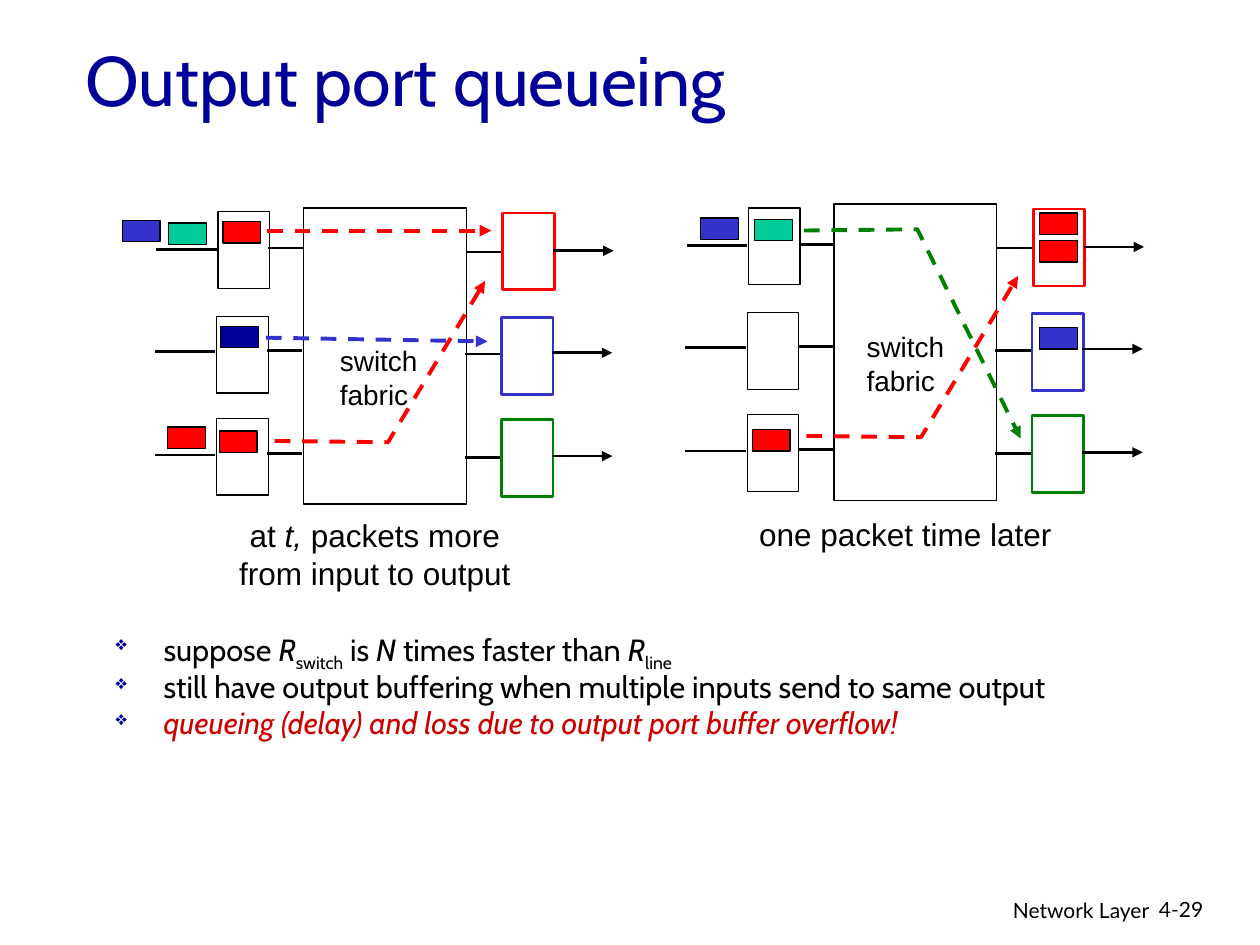
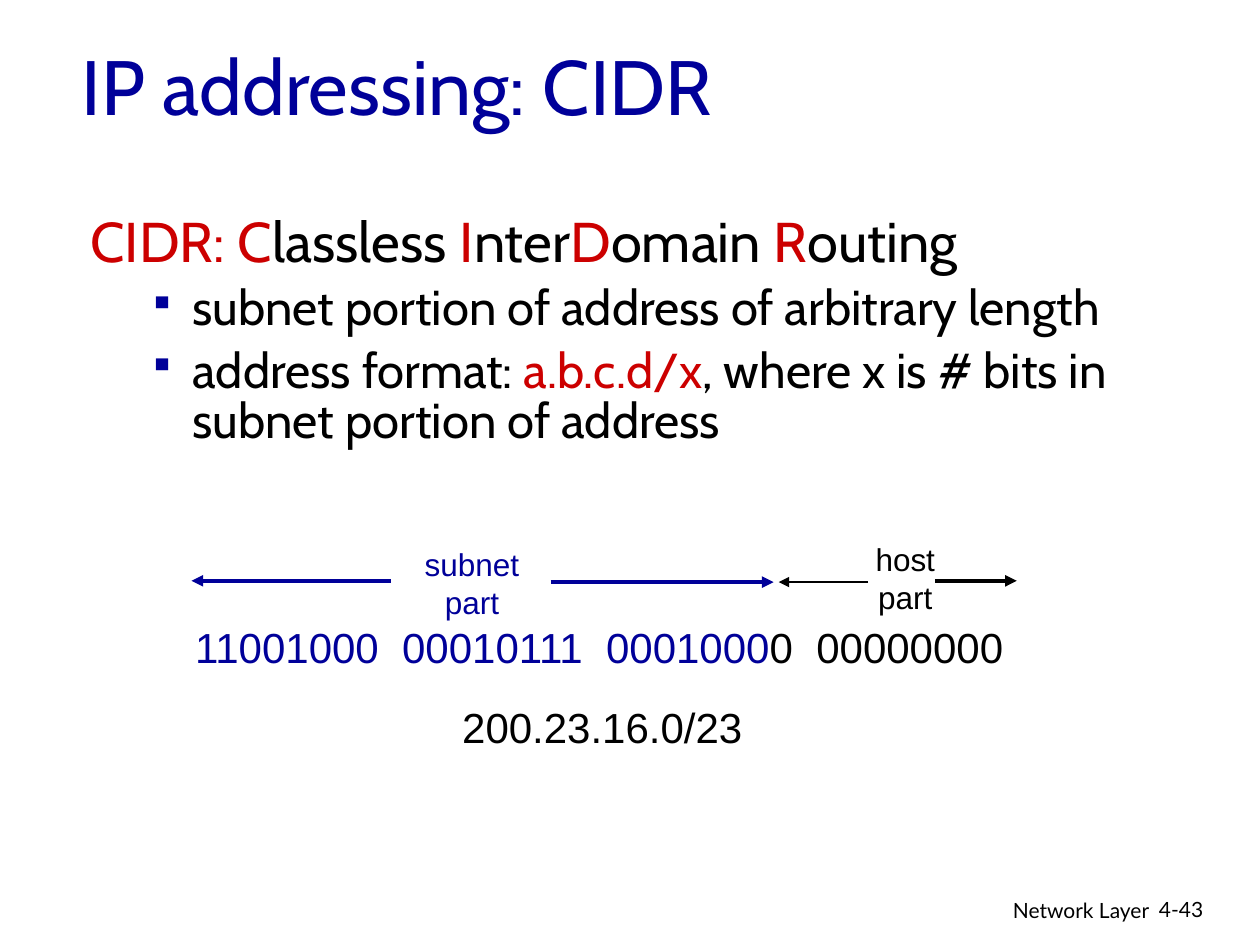
from lxml import etree
from pptx import Presentation
from pptx.dml.color import RGBColor
from pptx.enum.dml import MSO_LINE
from pptx.enum.shapes import MSO_CONNECTOR, MSO_SHAPE
from pptx.enum.text import MSO_ANCHOR, PP_ALIGN
from pptx.oxml.ns import qn
from pptx.util import Inches, Pt

LEFT, CENTER, RIGHT = PP_ALIGN.LEFT, PP_ALIGN.CENTER, PP_ALIGN.RIGHT
TOP, MIDDLE = MSO_ANCHOR.TOP, MSO_ANCHOR.MIDDLE
RECTANGLE, STRAIGHT, DASH = MSO_SHAPE.RECTANGLE, MSO_CONNECTOR.STRAIGHT, MSO_LINE.DASH

BLACK, WHITE, NAVY, CRIMSON = "000000", "FFFFFF", "000099", "CC0000"
RED, BLUE, GREEN, TEAL = "FF0000", "3333CC", "008000", "00CC99"
HEADING, FOOTER, LABEL = "Cabin", "Lato", "Arial"

ITALIC, SUBSCRIPT, ACCENT = {"italic": True}, {"baseline": -25}, {"color": CRIMSON}

QUEUEING_POINTS = [
    ["suppose ", ("R", ITALIC), ("switch", SUBSCRIPT), " is ", ("N", ITALIC),
     " times faster than ", ("R", ITALIC), ("line", SUBSCRIPT)],
    "still have output buffering when multiple inputs send to same output",
    [("queueing (delay) and loss due to output port buffer overflow!",
      {"color": CRIMSON, "italic": True})],
]

PANELS = [
    {
        "fabric": (2.41, 1.65),
        "label": (2.6, 2.68),
        "caption": (1.63, 4.05, 0.7),
        "caption_text": [["at ", ("t,", ITALIC), " packets more"], "from input to output"],
        "packets": [(1.77, 1.76, RED), (1.75, 2.59, NAVY), (1.74, 3.42, RED),
                    (1.34, 1.77, TEAL), (1.33, 3.39, RED), (0.97, 1.75, BLUE)],
        "flows": [(RED, [(2.12, 1.83), (3.9, 1.83)]),
                  (RED, [(2.18, 3.5), (3.08, 3.51), (3.85, 2.23)]),
                  (BLUE, [(2.11, 2.68), (3.87, 2.71)])],
    },
    {
        "fabric": (6.62, 1.62),
        "label": (6.78, 2.57),
        "caption": (5.84, 4.04, 0.4),
        "caption_text": ["one packet time later"],
        "packets": [(8.25, 1.69, RED), (8.25, 2.6, BLUE), (8.25, 1.91, RED),
                    (5.99, 1.74, TEAL), (5.97, 3.41, RED), (5.56, 1.73, BLUE)],
        "flows": [(RED, [(6.4, 3.46), (7.31, 3.47), (8.08, 2.19)]),
                  (GREEN, [(6.38, 1.83), (7.28, 1.82), (8.1, 3.48)])],
    },
]
PORT_ROWS = [(0, 0, 0, RED), (-0.01, 0.83, 0.81, BLUE), (-0.01, 1.64, 1.63, GREEN)]
PORT_LINES = [(1.29, 0.35, 0.28, False), (-0.28, 0.32, 0.28, False),
              (-1.17, 0.33, 0.48, False), (1.98, 0.34, 0.48, True)]

CIDR_NAME = [[("CIDR: C", ACCENT), "lassless ", ("I", ACCENT), "nter", ("D", ACCENT),
              "omain ", ("R", ACCENT), "outing"]]
CIDR_POINTS = [
    "subnet portion of address of arbitrary length",
    ["address format: ", ("a.b.c.d/x", ACCENT),
     ", where x is # bits in subnet portion of address"],
]
ADDRESS_LABELS = [
    ((1.45, 4.88, 6.85, 0.5),
     [[("11001000  00010111  0001000", {"color": NAVY}), "0  00000000"]],
     {"size": 24}),
    ((3.22, 4.28, 1.05, 0.7), ["subnet", "part"],
     {"size": 18, "color": NAVY, "align": CENTER}),
    ((6.8, 4.24, 0.77, 0.7), ["host", "part"], {"size": 18, "align": CENTER}),
    ((3.57, 5.52, 2.6, 0.5), ["200.23.16.0/23"], {"size": 24}),
]
ADDRESS_ARROWS = [
    ((4.37, 4.62), (6.14, 4.62), NAVY, 2.25),
    ((7.42, 4.61), (8.07, 4.61), BLACK, 2.25),
    ((3.1, 4.61), (1.52, 4.61), NAVY, 2.25),
    ((6.89, 4.62), (6.18, 4.62), BLACK, 1.5),
]


def rgb(color):
    return RGBColor.from_string(color)


def add_bullet(paragraph, character, percent, margin, indent):
    properties = paragraph._p.get_or_add_pPr()
    properties.set("marL", str(Inches(margin)))
    properties.set("indent", str(Inches(indent)))
    bullet_color = etree.SubElement(properties, qn("a:buClr"))
    etree.SubElement(bullet_color, qn("a:srgbClr"), val=NAVY)
    etree.SubElement(properties, qn("a:buSzPct"), val=str(percent * 1000))
    etree.SubElement(properties, qn("a:buChar"), char=character)


def write_paragraphs(frame, paragraphs, size=18, font=LABEL, color=BLACK, align=LEFT,
                     line_spacing=None, space_before=0, bullet=None):
    for content in paragraphs:
        paragraph = frame.paragraphs[0]
        if paragraph.runs:
            paragraph = frame.add_paragraph()
        paragraph.alignment = align
        paragraph.space_before = Pt(space_before)
        if line_spacing:
            paragraph.line_spacing = line_spacing
        if bullet:
            add_bullet(paragraph, *bullet)
        for part in [content] if isinstance(content, str) else content:
            text, changes = (part, {}) if isinstance(part, str) else part
            run = paragraph.add_run()
            run.text = text
            run.font.name = font
            run.font.size = Pt(size)
            run.font.italic = changes.get("italic", False)
            run.font.color.rgb = rgb(changes.get("color", color))
            if "baseline" in changes:
                run._r.get_or_add_rPr().set("baseline", str(changes["baseline"] * 1000))


def add_text(slide, box, paragraphs, anchor=TOP, **text_format):
    frame = slide.shapes.add_textbox(*map(Inches, box)).text_frame
    frame.word_wrap = True
    frame.vertical_anchor = anchor
    write_paragraphs(frame, paragraphs, **text_format)
    return frame


def add_box(slide, box, fill=WHITE, line=BLACK, width=0.75):
    shape = slide.shapes.add_shape(RECTANGLE, *map(Inches, box))
    shape.shadow.inherit = False
    shape.fill.solid()
    shape.fill.fore_color.rgb = rgb(fill)
    shape.line.color.rgb = rgb(line)
    shape.line.width = Pt(width)


def add_line(slide, points, color=BLACK, width=1.5, dashed=False, arrow=True):
    points = [(Inches(x), Inches(y)) for x, y in points]
    if len(points) == 2:
        shape = slide.shapes.add_connector(STRAIGHT, *points[0], *points[1])
        etree.SubElement(shape._element.spPr, qn("a:effectLst"))
    else:
        builder = slide.shapes.build_freeform(*points[0])
        builder.add_line_segments(points[1:], close=False)
        shape = builder.convert_to_shape()
        shape.fill.background()
        shape.shadow.inherit = False
    shape.line.color.rgb = rgb(color)
    shape.line.width = Pt(width)
    if dashed:
        shape.line.dash_style = DASH
    if arrow:
        etree.SubElement(shape.line._get_or_add_ln(), qn("a:tailEnd"), type="triangle")


def start_slide(presentation, title, title_box, title_size, number):
    slide = presentation.slides.add_slide(presentation.slide_layouts[6])
    add_text(slide, (6.05, 7.07, 3.17, 0.31), ["Network Layer"],
             size=12, font=FOOTER, align=RIGHT)
    add_text(slide, (9.1, 7.07, 0.74, 0.3), [number], size=12, font=FOOTER)
    add_text(slide, title_box, [title], anchor=MIDDLE,
             size=title_size, font=HEADING, color=NAVY)
    return slide


def draw_panel(slide, panel):
    left, top = panel["fabric"]
    add_box(slide, (left, top, 1.29, 2.35))
    for shift, box_drop, line_drop, color in PORT_ROWS:
        x = left + shift
        add_box(slide, (x - 0.68, top + 0.03 + box_drop, 0.41, 0.61))
        add_box(slide, (x + 1.58, top + 0.04 + box_drop, 0.41, 0.61), line=color, width=1.5)
        for offset, drop, length, arrow in PORT_LINES:
            y = top + drop + line_drop
            add_line(slide, [(x + offset, y), (x + offset + length, y)], arrow=arrow)
    for x, y, color in panel["packets"]:
        add_box(slide, (x, y, 0.3, 0.17), fill=color)
    for color, points in panel["flows"]:
        add_line(slide, points, color, width=2.25, dashed=True)
    x, y, height = panel["caption"]
    add_text(slide, (x, y, 2.69, height), panel["caption_text"], align=CENTER)
    add_text(slide, (*panel["label"], 1, 0.64), ["switch", "fabric"], size=16)


def build_queueing_slide(presentation):
    slide = start_slide(presentation, "Output port queueing", (0.58, 0.22, 8.5, 0.8), 40, "4-29")
    add_text(slide, (0.82, 5.03, 8.5, 1.3), QUEUEING_POINTS, size=17.5, font=HEADING,
             line_spacing=0.65, space_before=7, bullet=("❖", 65, 0.38, -0.38))
    for panel in PANELS:
        draw_panel(slide, panel)


def build_cidr_slide(presentation):
    slide = start_slide(presentation, "IP addressing: CIDR", (0.55, 0.21, 8.5, 0.93), 44, "4-43")
    frame = add_text(slide, (0.62, 1.67, 8.87, 3.47), CIDR_NAME, size=32, font=HEADING,
                     line_spacing=0.85, space_before=8)
    write_paragraphs(frame, CIDR_POINTS, size=28, font=HEADING, line_spacing=0.85,
                     space_before=7, bullet=("▪", 75, 0.81, -0.35))
    for box, paragraphs, text_format in ADDRESS_LABELS:
        add_text(slide, box, paragraphs, **text_format)
    for start, end, color, width in ADDRESS_ARROWS:
        add_line(slide, [start, end], color, width)


def main():
    presentation = Presentation()
    presentation.slide_width = Inches(10)
    presentation.slide_height = Inches(7.5)
    build_queueing_slide(presentation)
    build_cidr_slide(presentation)
    presentation.save("out.pptx")


if __name__ == "__main__":
    main()
